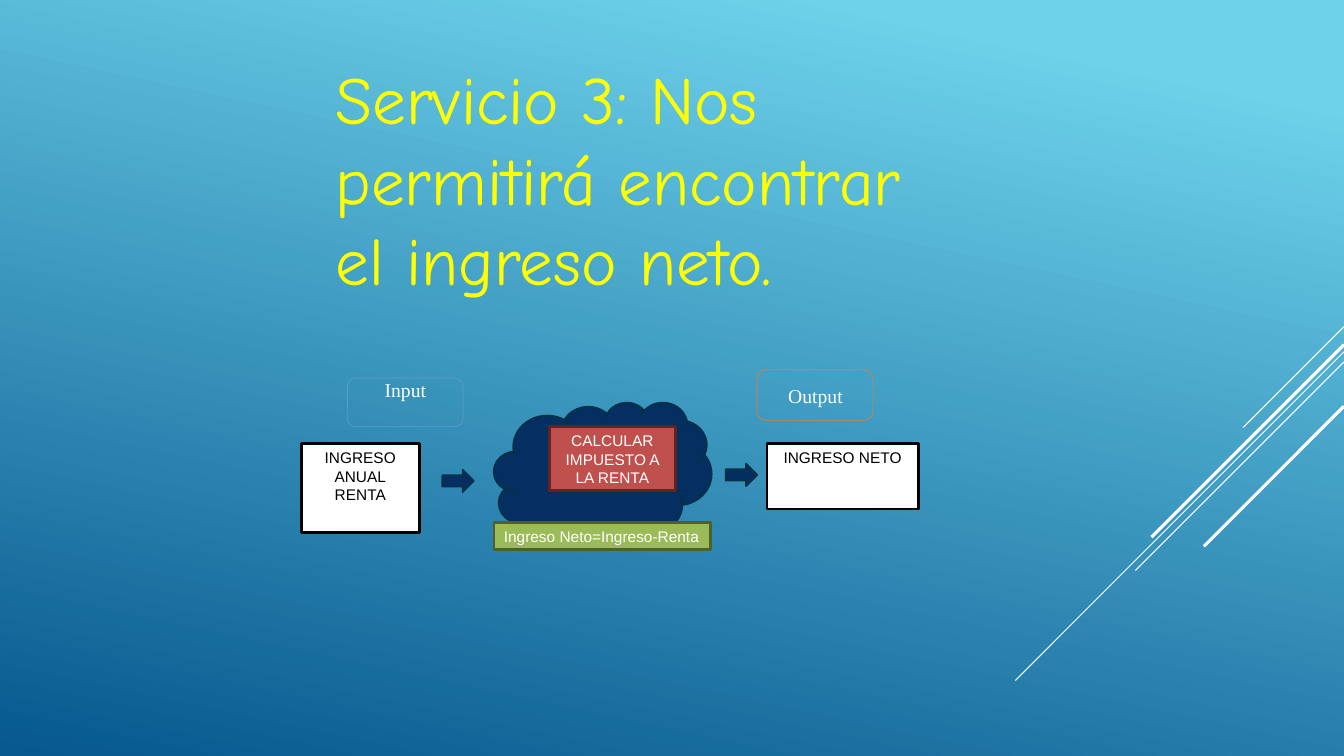
"""Build the slide on service 3: from yearly income to net income."""
from lxml import etree
from pptx import Presentation
from pptx import util as u
from pptx.dml.color import RGBColor
from pptx.enum import shapes, text
from pptx.oxml.ns import qn

THEME = {
    "white": "FFFFFF", "black": "000000", "yellow": "FFFF00",
    "sky": "6ED2EB", "deep": "06588E", "navy": "052F61", "edge": "043148",
    "red": "C0504D", "wine": "622423", "green": "9BBB59", "olive": "4E6128",
    "orange": "EC7C30", "blue": "5B9BD4",
    "title": ("Comic Neue", 48), "label": ("Times New Roman", 14),
    "body": ("Arial", 11),
}
WIDE, HIGH = 960, 540
KIND = shapes.MSO_SHAPE
MID, LEFT = text.PP_ALIGN.CENTER, text.PP_ALIGN.LEFT

TITLE = "Servicio 3: Nos permitirá encontrar el ingreso neto."
# Each stripe: height at the right edge, run to the left, weight
STRIPES = [(233.3, 72, 0.75), (251.3, 234.7, 0.75), (258.5, 149, 0.75),
           (246.2, 137.5, 2.25), (290.2, 100, 2.25)]
LABELS = [
    ("Output", (540.7, 264.2, 82.8, 36), "orange", 274.3, 22.3),
    ("Input", (248.2, 270, 82.6, 34.8), "blue", 270, 26.6),
]
STEPS = [
    (KIND.RECTANGLE, (215.3, 316.8, 84.2, 63.4), "white", "black", 2,
     ["INGRESO ANUAL", "RENTA"], "black", MID),
    (KIND.RECTANGLE, (547.9, 316.8, 108, 46.8), "white", "black", 2,
     ["INGRESO NETO"], "black", MID),
    (KIND.RIGHT_ARROW, (316, 335.5, 22.5, 16), "navy", "edge", 1.25, [], "white", MID),
    (KIND.RIGHT_ARROW, (518.4, 331.2, 22.5, 16), "navy", "edge", 1.25, [], "white", MID),
    (KIND.CLOUD, (352.8, 287.3, 155.5, 105.1), "navy", "edge", 1.25, [], "white", MID),
    (KIND.RECTANGLE, (392.4, 304.6, 90, 46.1), "red", "wine", 2,
     ["CALCULAR IMPUESTO A LA RENTA"], "white", MID),
    (KIND.RECTANGLE, (352.8, 373, 154.8, 19.4), "green", "olive", 2,
     ["Ingreso Neto=Ingreso-Renta"], "white", LEFT),
]


def tint(name):
    return RGBColor.from_string(THEME[name])


def pts(box):
    return [u.Pt(n) for n in box]


def write(frame, lines, style, color, align=LEFT):
    frame.word_wrap = True
    frame.vertical_anchor = text.MSO_ANCHOR.TOP
    face, size = THEME[style]
    for i, line in enumerate(lines):
        para = frame.add_paragraph() if i else frame.paragraphs[0]
        para.alignment = align
        run = para.add_run()
        run.text = line
        run.font.name, run.font.size = face, u.Pt(size)
        run.font.color.rgb = tint(color)


def draw(slide, kind, box, fill, line, weight):
    shape = slide.shapes.add_shape(kind, *pts(box))
    shape.shadow.inherit = False
    if fill:
        shape.fill.solid()
        shape.fill.fore_color.rgb = tint(fill)
    else:
        shape.fill.background()
    shape.line.color.rgb = tint(line)
    shape.line.width = u.Pt(weight)
    return shape


def paint(slide):
    fill = slide.background.fill
    fill.gradient()
    fill.gradient_angle = 258
    for stop, (place, name) in zip(fill.gradient_stops, [(0.1, "sky"), (1, "deep")]):
        stop.position = place
        stop.color.rgb = tint(name)


def stripe(slide, top, run, weight):
    ends = pts((WIDE, top, WIDE - run, top + run))
    line = slide.shapes.add_connector(shapes.MSO_CONNECTOR.STRAIGHT, *ends)
    line.line.color.rgb = tint("white")
    line.line.width = u.Pt(weight)
    etree.SubElement(line.element.spPr, qn("a:effectLst"))


def label(slide, word, box, line, top, inset):
    draw(slide, KIND.ROUNDED_RECTANGLE, box, None, line, 0.48)
    left, _, width, height = box
    frame = slide.shapes.add_textbox(*pts((left, top, width, height))).text_frame
    frame.margin_left = u.Pt(inset)
    frame.margin_top = frame.margin_right = frame.margin_bottom = 0
    write(frame, [word], "label", "white")


def main():
    deck = Presentation()
    deck.slide_width, deck.slide_height = u.Pt(WIDE), u.Pt(HIGH)
    slide = deck.slides.add_slide(deck.slide_layouts[6])
    paint(slide)
    for item in STRIPES:
        stripe(slide, *item)
    for item in LABELS:
        label(slide, *item)
    for *look, lines, color, align in STEPS:
        shape = draw(slide, *look)
        if lines:
            write(shape.text_frame, lines, "body", color, align)
    title = slide.shapes.add_textbox(*pts((232.6, 37.4, 453.6, 203.8)))
    write(title.text_frame, [TITLE], "title", "yellow")
    deck.save("out.pptx")


if __name__ == "__main__":
    main()
